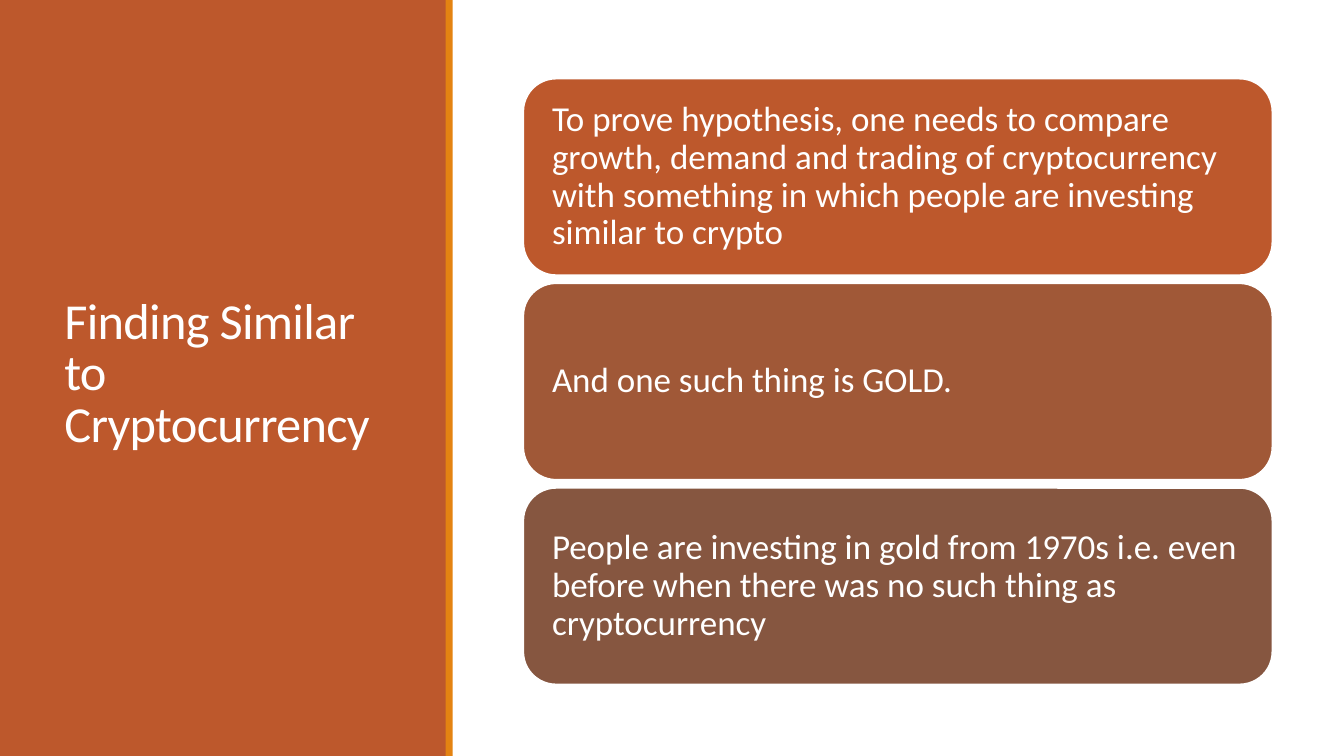
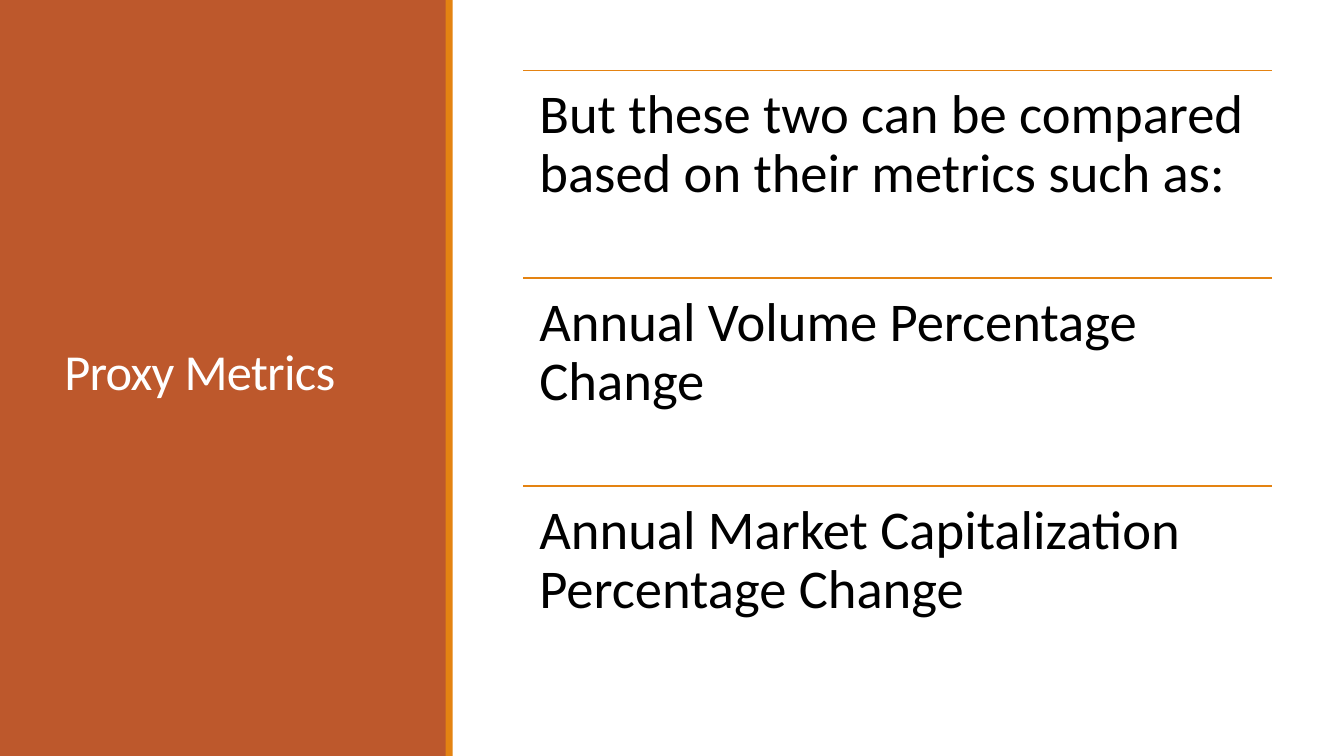
from dataclasses import dataclass
from typing import Any

from lxml.etree import SubElement
from pptx import Presentation
from pptx.dml.color import RGBColor
from pptx.enum.shapes import MSO_CONNECTOR as Connector, MSO_SHAPE as Preset
from pptx.enum.text import MSO_ANCHOR as Anchor, PP_ALIGN as Align
from pptx.oxml.ns import qn
from pptx.slide import Slide
from pptx.util import Inches, Pt

RUST, ORANGE, WHITE, BLACK = "BD582C", "E48312", "FFFFFF", "000000"
FONT = "Calibri"
SLIDE_W, SLIDE_H = 13.33, 7.5
PANEL_W, STRIPE_X, STRIPE_W = 4.43, 4.42, 0.07
BODY_X, BODY_W = 5.19, 7.43
CARD_TOP, CARD_H, CARD_GAP = 0.78, 1.95, 0.08
ROW_TOP, ROW_H = 0.7, 2.06


@dataclass(frozen=True)
class Box:
    x: float
    y: float
    w: float
    h: float

    def emu(self) -> tuple[int, ...]:
        return tuple(Inches(v) for v in (self.x, self.y, self.w, self.h))


@dataclass(frozen=True)
class TextStyle:
    size: float
    color: str
    anchor: Any
    inset: float
    leading: float = 0.9
    tracking: float = 0


@dataclass(frozen=True)
class Card:
    text: str
    fill: str


TITLE = TextStyle(36, WHITE, Anchor.MIDDLE, 0.1, leading=0.85, tracking=-0.5)
CARD = TextStyle(25, WHITE, Anchor.MIDDLE, 0.19)
ROW = TextStyle(39, BLACK, Anchor.TOP, 0.16)

CARDS = [
    Card("To prove hypothesis, one needs to compare growth, demand and trading of "
         "cryptocurrency with something in which people are investing similar to crypto", RUST),
    Card("And one such thing is GOLD.", "A05837"),
    Card("People are investing in gold from 1970s i.e. even before when there was "
         "no such thing as cryptocurrency", "865640"),
]
METRICS = [
    "But these two can be compared based on their metrics such as:",
    "Annual Volume Percentage Change",
    "Annual Market Capitalization Percentage Change",
]


def rgb(code: str) -> RGBColor:
    return RGBColor.from_string(code)


def apply(target: Any, values: dict[str, Any]) -> None:
    for name, value in values.items():
        setattr(target, name, value)


def write(shape: Any, text: str, style: TextStyle) -> None:
    frame = shape.text_frame
    inset = Inches(style.inset)
    vertical = min(inset, Inches(0.16))
    apply(frame, {"word_wrap": True, "vertical_anchor": style.anchor,
                  "margin_left": inset, "margin_right": inset,
                  "margin_top": vertical, "margin_bottom": vertical})
    paragraph = frame.paragraphs[0]
    apply(paragraph, {"alignment": Align.LEFT, "line_spacing": style.leading})
    run = paragraph.add_run()
    run.text = text
    apply(run.font, {"name": FONT, "size": Pt(style.size)})
    run.font.color.rgb = rgb(style.color)
    if style.tracking:
        run.font._element.set("spc", str(round(style.tracking * 100)))


def add_block(slide: Slide, preset: Any, box: Box, fill: str, outline: str | None = None) -> Any:
    block = slide.shapes.add_shape(preset, *box.emu())
    block.shadow.inherit = False
    block.fill.solid()
    block.fill.fore_color.rgb = rgb(fill)
    if outline:
        block.line.color.rgb = rgb(outline)
        block.line.width = Pt(1.25)
    else:
        block.line.fill.background()
    return block


def add_text(slide: Slide, box: Box, text: str, style: TextStyle) -> None:
    write(slide.shapes.add_textbox(*box.emu()), text, style)


def add_rule(slide: Slide, y: float) -> None:
    rule = slide.shapes.add_connector(
        Connector.STRAIGHT, Inches(BODY_X), Inches(y), Inches(BODY_X + BODY_W), Inches(y))
    rule.line.color.rgb = rgb(ORANGE)
    rule.line.width = Pt(1.25)
    SubElement(rule._element.spPr, qn("a:effectLst"))


def add_titled_slide(deck: Any, title: str) -> Slide:
    slide = deck.slides.add_slide(deck.slide_layouts[6])
    slide.background.fill.solid()
    slide.background.fill.fore_color.rgb = rgb(WHITE)
    add_block(slide, Preset.RECTANGLE, Box(0, 0, PANEL_W, SLIDE_H), RUST)
    add_text(slide, Box(0.54, 0.57, 3.37, 6.31), title, TITLE)
    add_block(slide, Preset.RECTANGLE, Box(STRIPE_X, 0, STRIPE_W, SLIDE_H), ORANGE)
    return slide


def add_cards(slide: Slide, cards: list[Card]) -> None:
    for i, card in enumerate(cards):
        box = Box(BODY_X, CARD_TOP + i * (CARD_H + CARD_GAP), BODY_W, CARD_H)
        block = add_block(slide, Preset.ROUNDED_RECTANGLE, box, card.fill, WHITE)
        write(block, card.text, CARD)


def add_rows(slide: Slide, rows: list[str]) -> None:
    for i, text in enumerate(rows):
        y = ROW_TOP + i * ROW_H
        add_rule(slide, y)
        add_text(slide, Box(BODY_X, y, BODY_W, ROW_H), text, ROW)


def main() -> None:
    deck = Presentation()
    apply(deck, {"slide_width": Inches(SLIDE_W), "slide_height": Inches(SLIDE_H)})
    add_cards(add_titled_slide(deck, "Finding Similar to Cryptocurrency"), CARDS)
    add_rows(add_titled_slide(deck, "Proxy Metrics"), METRICS)
    deck.save("out.pptx")


if __name__ == "__main__":
    main()
